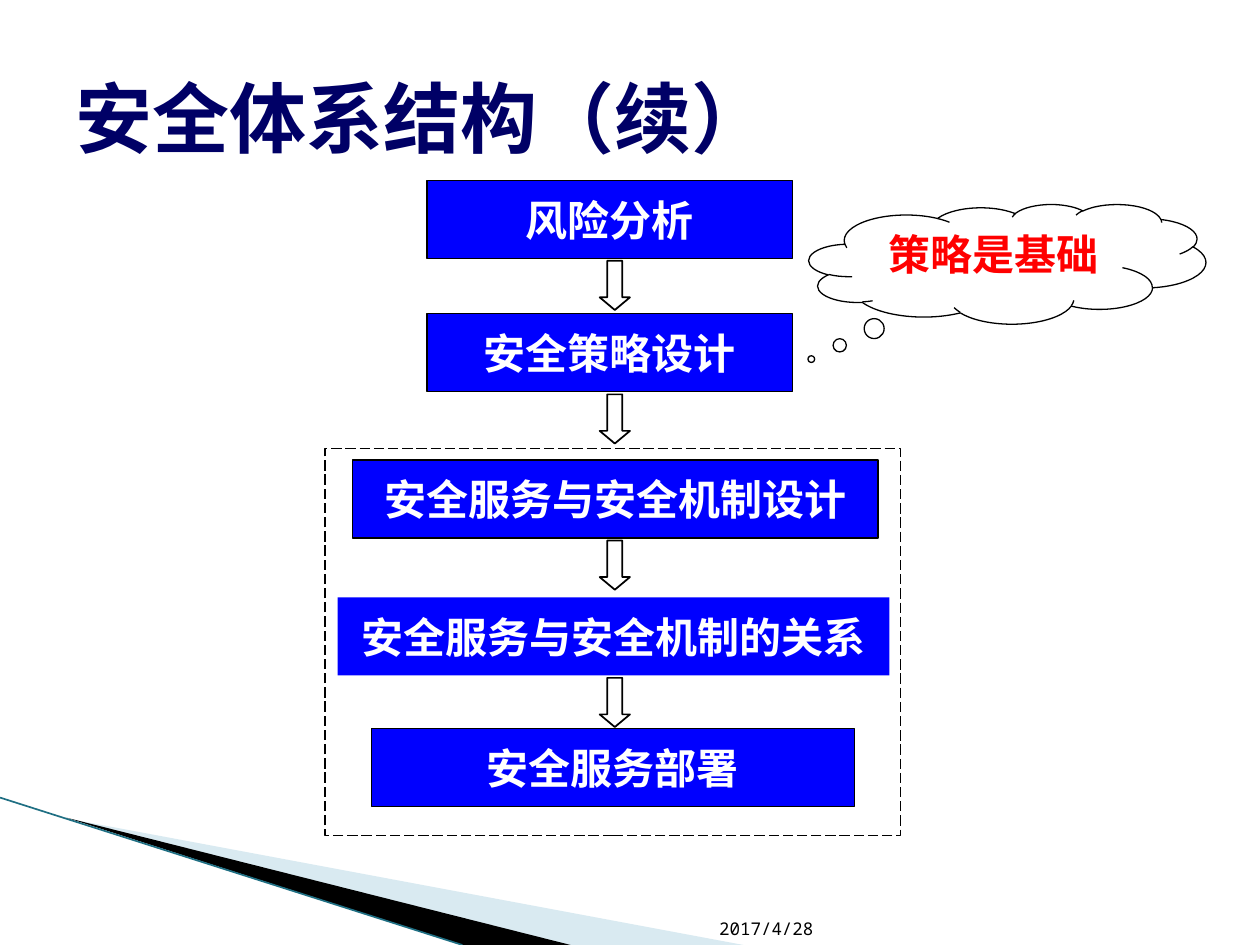
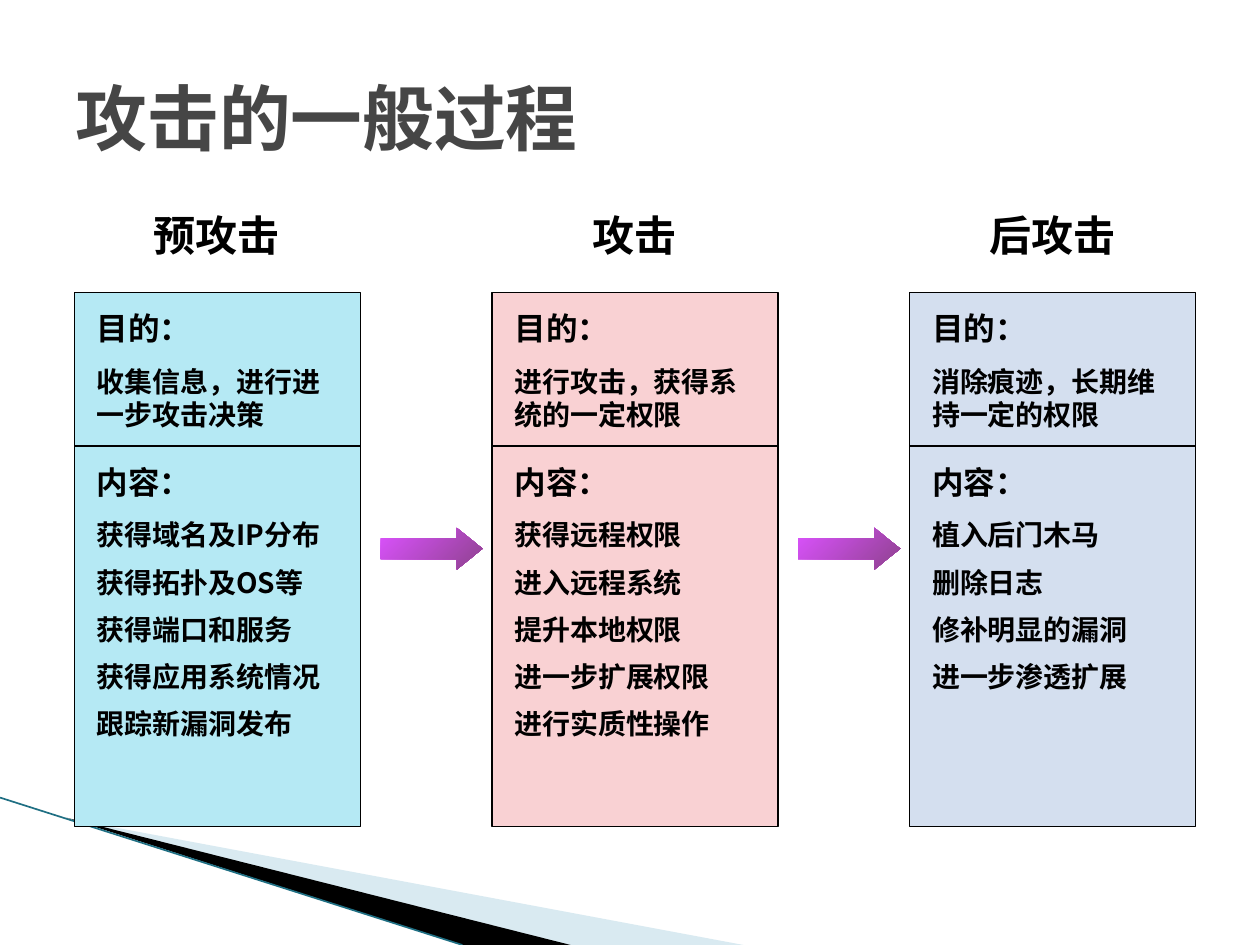
from dataclasses import dataclass
from typing import NamedTuple

from lxml import etree
from pptx import Presentation
from pptx.dml.color import RGBColor
from pptx.enum import dml, shapes, text
from pptx.oxml import ns
from pptx.util import Inches, Pt

# Shared colours and fonts
BLACK = RGBColor(0x00, 0x00, 0x00)
WHITE = RGBColor(0xFF, 0xFF, 0xFF)
NAVY = RGBColor(0x00, 0x00, 0x66)
GREY = RGBColor(0x46, 0x46, 0x46)
BLUE = RGBColor(0x00, 0x00, 0xFF)
RED = RGBColor(0xFF, 0x00, 0x00)
PALE = RGBColor(0xD9, 0xEA, 0xF1)
TEAL = RGBColor(0x1F, 0x6F, 0x83)
CYAN = RGBColor(0xB5, 0xE9, 0xF4)
PINK = RGBColor(0xF9, 0xD1, 0xD3)
MIST = RGBColor(0xD4, 0xDF, 0xEF)
LILAC = RGBColor(0xDC, 0x52, 0xFF)
PLUM = RGBColor(0x8E, 0x42, 0x8E)
MONO, SANS, SERIF, HAN = "Noto Sans Mono", "Arial", "Times New Roman", "Noto Sans CJK SC"

KIND = shapes.MSO_SHAPE
ALIGN = text.PP_ALIGN


class Box(NamedTuple):
    left: float
    top: float
    width: float
    height: float

    def place(self) -> list:
        return [Inches(side) for side in self]


@dataclass
class Type:
    size: float
    face: str
    color: RGBColor
    bold: bool = True
    line: float = 0
    before: float = 0
    after: float = 0
    align: ALIGN = ALIGN.LEFT


@dataclass
class Step:
    words: str
    box: Box
    edge: bool = True


@dataclass
class Phase:
    name: str
    fill: RGBColor
    goal: str
    tasks: list[str]


LABEL = Type(24, SANS, WHITE, align=ALIGN.CENTER)
CLOUD = Type(24, SANS, RED, align=ALIGN.CENTER)
DATE = Type(10, MONO, BLACK, bold=False)
HEAD = Type(24, SERIF, BLACK, line=31, align=ALIGN.CENTER)
TOPIC = Type(18, SERIF, BLACK, line=22, after=2)
ITEM = Type(16, HAN, BLACK, line=19, before=8)

STEPS = [
    Step("风险分析", Box(3.39, 1.43, 2.9, 0.62)),
    Step("安全策略设计", Box(3.39, 2.49, 2.9, 0.62)),
    Step("安全服务与安全机制设计", Box(2.8, 3.65, 4.17, 0.62)),
    Step("安全服务与安全机制的关系", Box(2.68, 4.74, 4.38, 0.62), edge=False),
    Step("安全服务部署", Box(2.95, 5.78, 3.83, 0.62)),
]
PHASES = [
    Phase("预攻击", CYAN, "收集信息，进行进一步攻击决策",
          ["获得域名及IP分布", "获得拓扑及OS等", "获得端口和服务",
           "获得应用系统情况", "跟踪新漏洞发布"]),
    Phase("攻击", PINK, "进行攻击，获得系统的一定权限",
          ["获得远程权限", "进入远程系统", "提升本地权限",
           "进一步扩展权限", "进行实质性操作"]),
    Phase("后攻击", MIST, "消除痕迹，长期维持一定的权限",
          ["植入后门木马", "删除日志", "修补明显的漏洞", "进一步渗透扩展"]),
]


# Drawing helpers
def write(frame, rows: list[tuple[str, Type]]) -> None:
    for index, (words, kind) in enumerate(rows):
        para = frame.add_paragraph() if index else frame.paragraphs[0]
        para.text = words
        para.alignment = kind.align
        if kind.line:
            para.line_spacing = Pt(kind.line)
        para.space_before = Pt(kind.before if index else 0)
        para.space_after = Pt(kind.after)
        font = para.font
        font.size, font.name, font.bold = Pt(kind.size), kind.face, kind.bold
        font.color.rgb = kind.color
        base = para._p.pPr.find(ns.qn("a:defRPr"))
        etree.SubElement(base, ns.qn("a:ea"), typeface=HAN)


def label(slide, box: Box, rows: list[tuple[str, Type]]):
    frame = slide.shapes.add_textbox(*box.place()).text_frame
    frame.word_wrap = True
    write(frame, rows)
    return frame


def paint(shape, fill: RGBColor | None, edge: float = 0) -> None:
    shape.shadow.inherit = False
    if fill is None:
        shape.fill.background()
    else:
        shape.fill.solid()
        shape.fill.fore_color.rgb = fill
    if edge:
        shape.line.color.rgb = BLACK
        shape.line.width = Pt(edge)
    else:
        shape.line.fill.background()


def draw(slide, kind: KIND, box: Box, fill: RGBColor | None, edge: float = 0,
         adj: tuple = ()):
    shape = slide.shapes.add_shape(kind, *box.place())
    paint(shape, fill, edge)
    for index, value in enumerate(adj):
        shape.adjustments[index] = value
    return shape


def wedge(slide, spots: list[tuple[float, float]], fill: RGBColor) -> None:
    first, *rest = [(Inches(x), Inches(y)) for x, y in spots]
    pen = slide.shapes.build_freeform(*first)
    pen.add_line_segments(rest)
    paint(pen.convert_to_shape(), fill)


def start(deck, title: str, kind: Type):
    """Add a slide with its title and the corner sweep."""
    slide = deck.slides.add_slide(deck.slide_layouts[5])
    head = slide.shapes.title
    head.left, head.top, head.width, head.height = Box(0.5, 0.3, 9, 1.25).place()
    frame = head.text_frame
    frame.auto_size = text.MSO_AUTO_SIZE.NONE
    frame.vertical_anchor = text.MSO_ANCHOR.MIDDLE
    write(frame, [(title, kind)])

    wedge(slide, [(0.55, 6.5), (5.9, 7.5), (4.52, 7.5)], PALE)
    wedge(slide, [(0.53, 6.49), (4.53, 7.5), (3.67, 7.5)], BLACK)
    line = slide.shapes.add_connector(
        shapes.MSO_CONNECTOR.STRAIGHT, Inches(0), Inches(6.33), Inches(3.67), Inches(7.5))
    line.line.color.rgb = TEAL
    line.line.width = Pt(0.95)
    etree.SubElement(line._element.spPr, ns.qn("a:effectLst"))
    return slide


# Slide 1: security architecture flow
def flow(deck) -> None:
    slide = start(deck, "安全体系结构（续）", Type(44, MONO, NAVY))
    date = label(slide, Box(5.61, 7.01, 1.12, 0.49), [("2017/4/28", DATE)])
    date.vertical_anchor = text.MSO_ANCHOR.BOTTOM

    cloud = draw(slide, KIND.CLOUD_CALLOUT, Box(6.42, 1.62, 3.15, 0.95), WHITE, 0.75,
                 (-0.494, 0.795))
    cloud.text_frame.vertical_anchor = text.MSO_ANCHOR.TOP
    write(cloud.text_frame, [("策略是基础", CLOUD)])

    group = draw(slide, KIND.RECTANGLE, Box(2.58, 3.56, 4.57, 3.07), WHITE, 0.75)
    group.line.dash_style = dml.MSO_LINE.LONG_DASH

    for step in STEPS:
        shape = draw(slide, KIND.RECTANGLE, step.box, BLUE, 0.75 if step.edge else 0)
        frame = shape.text_frame
        frame.word_wrap = False
        frame.vertical_anchor = text.MSO_ANCHOR.MIDDLE
        write(frame, [(step.words, LABEL)])
    for step in STEPS[:-1]:
        top = step.box.top + step.box.height + 0.02
        draw(slide, KIND.DOWN_ARROW, Box(4.76, top, 0.24, 0.39), None, 1, (0.5, 0.417))


# Slide 2: three attack phases
def attack(deck) -> None:
    slide = start(deck, "攻击的一般过程", Type(41, MONO, GREY))
    pitch = 3.315
    for index, phase in enumerate(PHASES):
        left = 0.59 + index * pitch
        label(slide, Box(left + 0.32, 1.58, 1.62, 0.5), [(phase.name, HEAD)])
        cells = [(2.32, 1.22, "目的：", [phase.goal]), (3.54, 3.02, "内容：", phase.tasks)]
        for top, height, topic, items in cells:
            draw(slide, KIND.RECTANGLE, Box(left, top, 2.27, height), phase.fill, 0.75)
            rows = [(topic, TOPIC)] + [(item, ITEM) for item in items]
            label(slide, Box(left + 0.08, top + 0.08, 2.18, height - 0.15), rows)

    for index in range(len(PHASES) - 1):
        arrow = draw(slide, KIND.RIGHT_ARROW, Box(3.02 + index * pitch, 4.19, 0.81, 0.33),
                     LILAC, adj=(0.5, 0.62))
        arrow.fill.gradient()
        arrow.fill.gradient_angle = 315
        for stop, color in zip(arrow.fill.gradient_stops, (LILAC, PLUM)):
            stop.color.rgb = color


def main() -> None:
    deck = Presentation()
    deck.slide_width, deck.slide_height = Inches(10), Inches(7.5)
    flow(deck)
    attack(deck)
    deck.save("out.pptx")


if __name__ == "__main__":
    main()
